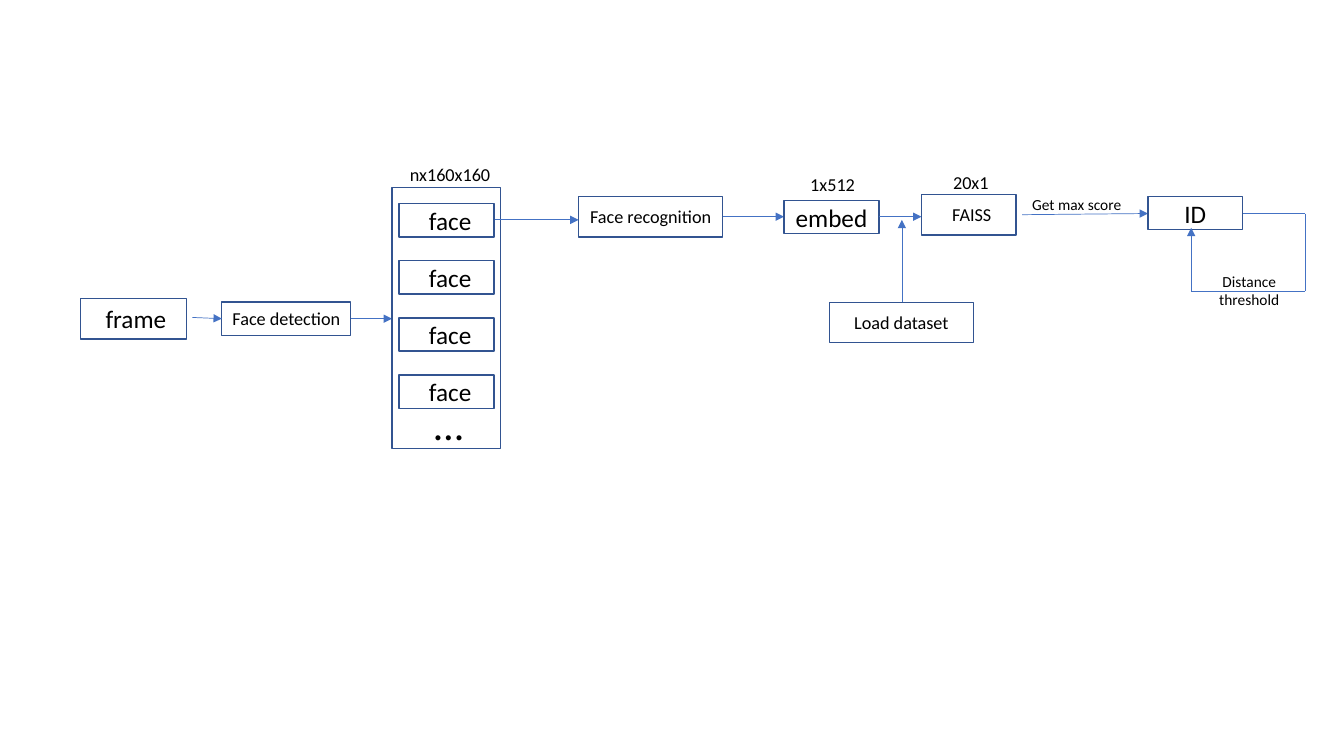
from itertools import pairwise

from lxml.etree import SubElement
from pptx import Presentation
from pptx.dml.color import RGBColor
from pptx.enum.shapes import MSO_CONNECTOR as Link, MSO_SHAPE as Shape
from pptx.enum.text import MSO_ANCHOR as Anchor, PP_ALIGN as Align
from pptx.oxml.ns import qn
from pptx.util import Cm, Pt

BORDER, ARROW, INK = "325491", "4472C4", "000000"
LARGE, MEDIUM, SMALL = 18, 13, 11


def color(hex_code):
    """Turn a hex string into a colour."""
    return RGBColor.from_string(hex_code)


def write(frame, words, size, align):
    """Put one formatted run into a text frame."""
    paragraph = frame.paragraphs[0]
    paragraph.alignment = align
    run = paragraph.add_run()
    run.text = words
    run.font.name = "Calibri"
    run.font.size = Pt(size)
    run.font.color.rgb = color(INK)


def add_step(slide, left, top, width, height, words="", size=MEDIUM, shift=0):
    """Draw an outlined step, its words moved right by half the shift."""
    step = slide.shapes.add_shape(
        Shape.RECTANGLE, Cm(left), Cm(top), Cm(width), Cm(height))
    step.shadow.inherit = False
    step.fill.background()
    step.line.color.rgb = color(BORDER)
    step.line.width = Pt(1)
    if words:
        frame = step.text_frame
        frame.margin_left = Cm(shift)
        frame.margin_right = frame.margin_top = frame.margin_bottom = 0
        frame.vertical_anchor = Anchor.MIDDLE
        write(frame, words, size, Align.CENTER)


def add_caption(slide, left, top, width, height, words, size=MEDIUM, align=Align.LEFT):
    """Place free-standing words."""
    caption = slide.shapes.add_textbox(Cm(left), Cm(top), Cm(width), Cm(height))
    caption.text_frame.word_wrap = True
    write(caption.text_frame, words, size, align)


def add_link(slide, start, end, arrow=True):
    """Join two points with a thin line, by default ending in an arrowhead."""
    link = slide.shapes.add_connector(
        Link.STRAIGHT, *(Cm(value) for value in (*start, *end)))
    link.line.color.rgb = color(ARROW)
    link.line.width = Pt(0.5)
    if arrow:
        SubElement(link.line._get_or_add_ln(), qn("a:tailEnd"), type="triangle")
    SubElement(link._element.spPr, qn("a:effectLst"))


def draw_detection(slide, left, top, width, height):
    """Draw the frame, its detection step and the arrow to the faces."""
    middle = top + height / 2
    add_step(slide, left, top, 2.67, height, "frame", LARGE, 0.12)
    add_step(slide, left + 3.56, middle - 0.42, 3.25, 0.84, "Face detection")
    add_link(slide, (left + 2.82, middle - 0.03), (left + 3.56, middle))
    add_link(slide, (left + 6.81, middle), (left + width, middle))


def draw_faces(slide, left, top, width, height):
    """Draw the stack of detected faces with its dimensions."""
    add_caption(slide, left + 0.2, top - 0.73, 3.81, 0.81, "nx160x160")
    add_step(slide, left, top, width, height)
    for row in range(4):
        add_step(slide, left + 0.18, top + 0.41 + 1.44 * row,
                 2.39, 0.84, "face", LARGE, 0.18)
    add_caption(slide, left + 0.81, top + height - 1.37, 1.96, 1.55, "…", 30)


def draw_recognition(slide, left, top, width, height):
    """Draw the recognition step, the embedding and the arrows around them."""
    embed_left = left + width - 2.39
    add_link(slide, (left - 2.11, top + 0.59), (left, top + 0.59))
    add_step(slide, left, top, 3.63, height, "Face recognition")
    add_link(slide, (left + 3.63, top + 0.51), (embed_left, top + 0.51))
    add_step(slide, embed_left, top + 0.1, 2.39, 0.84, "embed", LARGE)
    add_caption(slide, embed_left + 0.41, top - 0.71, 1.73, 0.81, "1x512")


def draw_search(slide, left, top, width, height):
    """Draw the dataset feeding the search step."""
    search_left = left + width - 2.39
    dataset_top = top + height - 1.02
    add_link(slide, (left + 1.25, top + 0.56), (search_left, top + 0.56))
    add_step(slide, search_left, top, 2.39, 1.02, "FAISS", shift=0.15)
    add_caption(slide, search_left + 0.55, top - 0.71, 2.01, 0.81, "20x1")
    add_step(slide, left, dataset_top, 3.63, 1.02, "Load dataset")
    add_link(slide, (left + 1.83, dataset_top), (left + 1.83, top + 0.64))


def draw_decision(slide, left, top, width, height):
    """Draw the best score leading to the ID and its threshold loop."""
    id_left, right, bottom = left + 3.17, left + width, top + height
    middle, loop_left = top + 0.43, left + 4.26
    add_caption(slide, left, top - 0.17, 3.18, 0.74, "Get max score", SMALL)
    add_link(slide, (left, middle + 0.03), (id_left, middle))
    add_step(slide, id_left, top, 2.39, 0.84, "ID", LARGE)
    loop = [(id_left + 2.39, middle), (right, middle), (right, bottom),
            (loop_left, bottom), (loop_left, top + 0.79)]
    for start, end in pairwise(loop):
        add_link(slide, start, end, arrow=end == loop[-1])
    add_caption(slide, loop_left + 0.41, bottom - 0.61, 2.11, 1.19,
                "Distance threshold", SMALL, Align.CENTER)


def main():
    """Build the face identification pipeline slide."""
    deck = Presentation()
    deck.slide_width, deck.slide_height = Cm(33.87), Cm(19.05)
    slide = deck.slides.add_slide(deck.slide_layouts[6])
    draw_detection(slide, 2.03, 7.52, 7.85, 1.02)
    draw_faces(slide, 9.88, 4.72, 2.74, 6.58)
    draw_recognition(slide, 14.58, 4.95, 7.57, 1.02)
    draw_search(slide, 20.9, 4.9, 4.71, 3.74)
    draw_decision(slide, 25.76, 4.95, 7.13, 2.39)
    deck.save("out.pptx")


if __name__ == "__main__":
    main()
